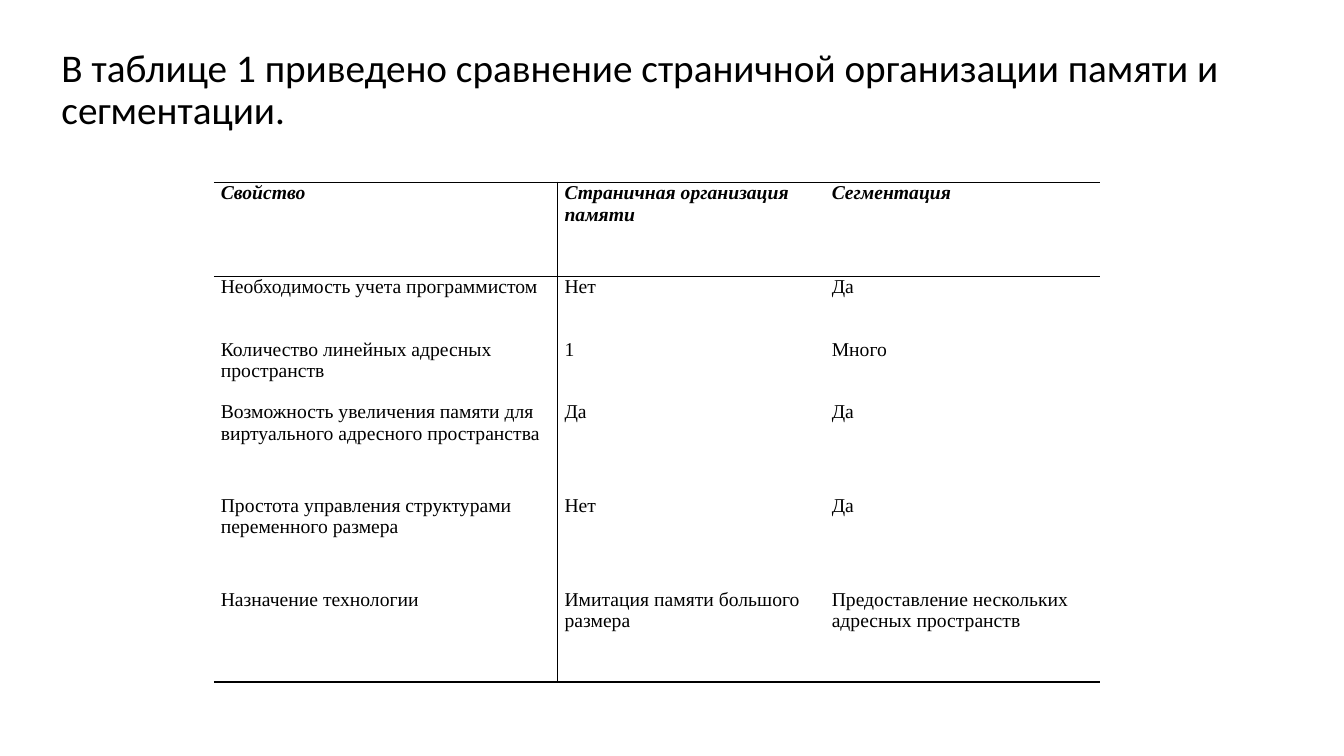
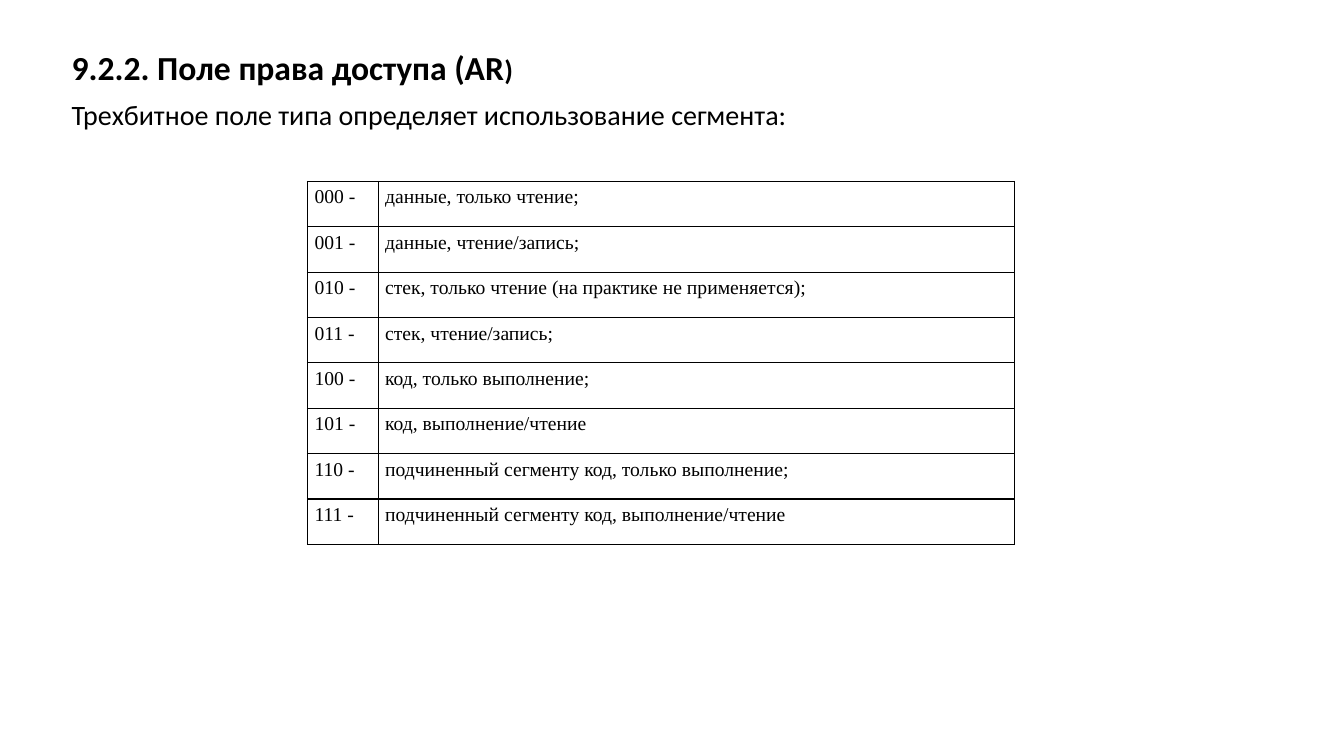
from pptx import Presentation
from pptx.dml.color import RGBColor
from pptx.enum.text import MSO_ANCHOR, MSO_AUTO_SIZE, PP_ALIGN
from pptx.oxml.ns import qn
from pptx.util import Pt
from lxml.etree import SubElement

PX = 9144
COLORS = {"text": "000000", "line": "000000"}
BODY_FONT, TABLE_FONT = "Calibri", "Times New Roman"
NO_STYLE = "{2D5ABB26-0587-4C30-8999-92F81FD0307C}"

SLIDES = [
    {
        "body_at": (51, 43, 1231, 664),
        "body": [
            [("В таблице 1 приведено сравнение страничной организации памяти и сегментации.",
              {"size": 28, "bold": False})],
        ],
        "table": {
            "at": (212, 181),
            "cols": [341, 265, 273],
            "rows": [93, 62, 62, 93, 93, 93],
            "inset_y": 0,
            "align": PP_ALIGN.LEFT,
            "header": True,
            "grid": False,
            "cells": [
                ("Свойство", "Страничная организация памяти", "Сегментация"),
                ("Необходимость учета программистом", "Нет", "Да"),
                ("Количество линейных адресных пространств", "1", "Много"),
                ("Возможность увеличения памяти для виртуального адресного пространства", "Да", "Да"),
                ("Простота управления структурами переменного размера", "Нет", "Да"),
                ("Назначение технологии", "Имитация памяти большого размера",
                 "Предоставление нескольких адресных пространств"),
            ],
        },
    },
    {
        "body_at": (61, 46, 1212, 629),
        "body": [
            [("9.2.2. Поле права доступа (AR", {"size": 24, "bold": True}),
             (")", {"size": 20, "bold": True})],
            [("Трехбитное поле типа определяет использование сегмента:",
              {"size": 20, "bold": False})],
        ],
        "table": {
            "at": (305, 180),
            "cols": [70, 631],
            "rows": [45] * 8,
            "inset_y": 5,
            "align": PP_ALIGN.JUSTIFY,
            "header": False,
            "grid": True,
            "cells": [
                ("000 -", "данные, только чтение;"),
                ("001 -", "данные, чтение/запись;"),
                ("010 -", "стек, только чтение (на практике не применяется);"),
                ("011 -", "стек, чтение/запись;"),
                ("100 -", "код, только выполнение;"),
                ("101 -", "код, выполнение/чтение"),
                ("110 -", "подчиненный сегменту код, только выполнение;"),
                ("111 -", "подчиненный сегменту код, выполнение/чтение"),
            ],
        },
    },
]


def add_run(p, text, font, size, **styles):
    r = p.add_run()
    r.text = text
    r.font.color.rgb = RGBColor.from_string(COLORS["text"])
    for name, value in {"name": font, "size": Pt(size), **styles}.items():
        setattr(r.font, name, value)


def fill_body(sp, at, paragraphs):
    sp.left, sp.top, sp.width, sp.height = (v * PX for v in at)
    tf = sp.text_frame
    for name, value in {"word_wrap": True, "auto_size": MSO_AUTO_SIZE.NONE,
                        "vertical_anchor": MSO_ANCHOR.TOP}.items():
        setattr(tf, name, value)
    for i, runs in enumerate(paragraphs):
        p = tf.add_paragraph() if i else tf.paragraphs[0]
        p.line_spacing, p.space_before = 0.9, Pt(10)
        pPr = p._p.get_or_add_pPr()
        pPr.set("marL", "0")
        pPr.set("indent", "0")
        SubElement(pPr, qn("a:buNone"))
        for text, styles in runs:
            add_run(p, text, BODY_FONT, **styles)


def cell_edges(row, col, last_row, grid):
    if grid:
        return dict.fromkeys("LRTB", 1)
    return {
        "L": 1 if col == 1 else 0,
        "R": 1 if col == 0 else 0,
        "T": {0: 1.5, 1: 1}.get(row, 0),
        "B": {0: 1, last_row: 1.5}.get(row, 0),
    }


def set_borders(cell, edges):
    tcPr = cell._tc.get_or_add_tcPr()
    for side, width in edges.items():
        ln = SubElement(tcPr, qn("a:ln" + side), w=str(Pt(width)))
        if width:
            fill = SubElement(ln, qn("a:solidFill"))
            SubElement(fill, qn("a:srgbClr"), val=COLORS["line"])
        else:
            SubElement(ln, qn("a:noFill"))


def add_grid(s, spec):
    cols, rows = spec["cols"], spec["rows"]
    box = (*spec["at"], sum(cols), sum(rows))
    table = s.shapes.add_table(len(rows), len(cols), *(v * PX for v in box)).table
    table._tbl.tblPr.find(qn("a:tableStyleId")).text = NO_STYLE
    table.first_row, table.horz_banding = spec["header"], False
    for column, width in zip(table.columns, cols):
        column.width = width * PX
    inset_y = spec["inset_y"] * PX
    margins = {"margin_left": 7 * PX, "margin_right": 7 * PX,
               "margin_top": inset_y, "margin_bottom": inset_y}
    for i, (height, texts) in enumerate(zip(rows, spec["cells"])):
        table.rows[i].height = height * PX
        heading = spec["header"] and i == 0
        for j, text in enumerate(texts):
            cell = table.cell(i, j)
            for name, value in margins.items():
                setattr(cell, name, value)
            set_borders(cell, cell_edges(i, j, len(rows) - 1, spec["grid"]))
            cell.fill.background()
            p = cell.text_frame.paragraphs[0]
            p.alignment = spec["align"]
            add_run(p, text, TABLE_FONT, 14, bold=heading, italic=heading)


def main():
    prs = Presentation()
    prs.slide_width, prs.slide_height = 1333 * PX, 750 * PX
    for content in SLIDES:
        s = prs.slides.add_slide(prs.slide_layouts[1])
        title = s.shapes.title._element
        title.getparent().remove(title)
        fill_body(s.placeholders[1], content["body_at"], content["body"])
        add_grid(s, content["table"])
    prs.save("out.pptx")


if __name__ == "__main__":
    main()
